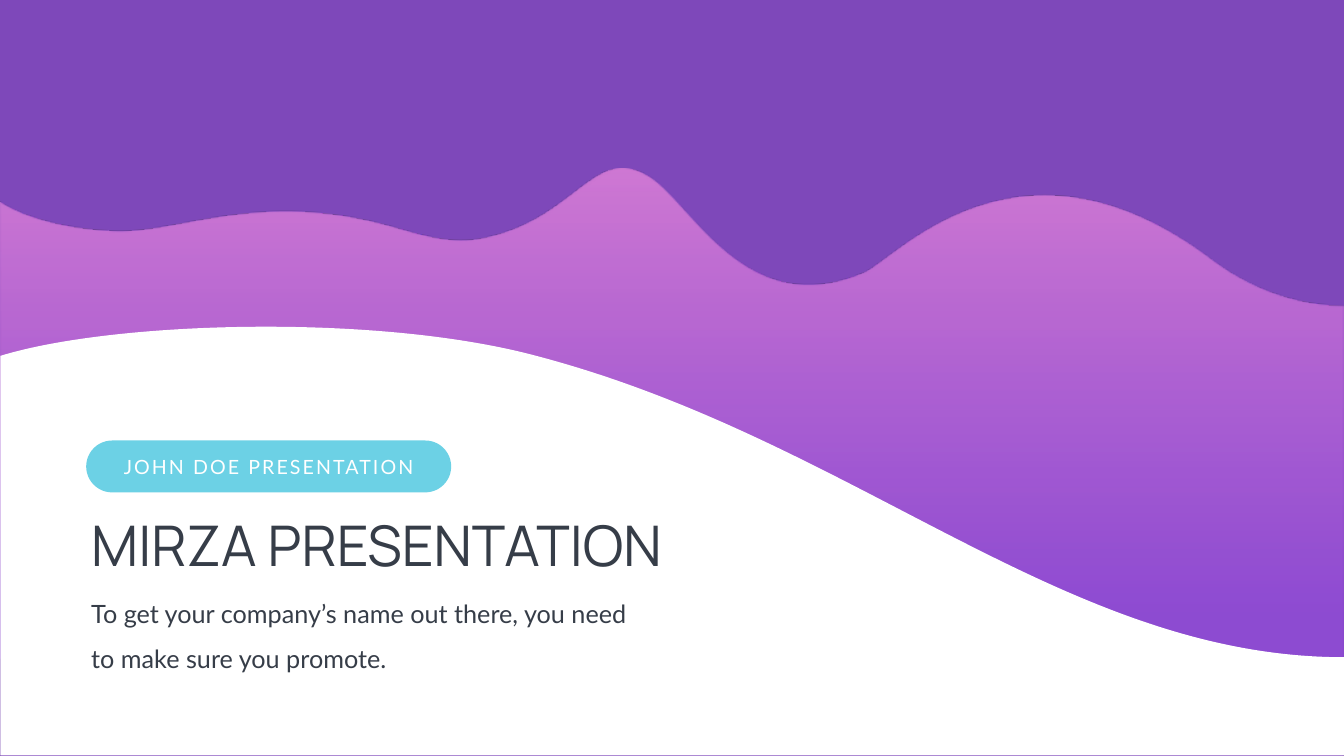
from collections import namedtuple
from lxml import etree
from pptx import Presentation, util as u
from pptx.dml.color import RGBColor
from pptx.enum import shapes, text
from pptx.oxml.ns import qn

Box = namedtuple("Box", "x y w h")
COLS, ROWS = 26.66, 15
CELL = u.Inches(1)
PAGE = Box(0, 0, COLS, ROWS)
EDGE = 0.01

THEME = {
    "ink": "363D48", "plum": "914BD7", "pink": "E184D6",
    "pill": "6CD1E5", "white": "FFFFFF",
    "head": {"name": "Manrope", "size": u.Pt(80)},
    "tag": {"name": "Lato", "size": u.Pt(28)},
    "body": {"name": "Lato", "size": u.Pt(36)},
}

HILLS = [
    (EDGE, 4.02),
    (EDGE, 4.02), (0.67, 4.52), (2.24, 4.6),
    (3.55, 4.67), (5.12, 3.75), (7.81, 4.52),
    (8.39, 4.69), (8.99, 4.87), (9.59, 4.74),
    (11.44, 4.37), (11.79, 2.86), (12.86, 3.51),
    (13.73, 4.02), (14.77, 6.43), (17.15, 5.42),
    (17.77, 5.16), (20.22, 2.27), (24.06, 5.18),
    (24.48, 5.49), (25.39, 6.07), (COLS, 6.08),
]
SLOPE = [
    (EDGE, 7.06),
    (2.22, 6.38), (7.32, 6.22), (10.48, 7.02),
    (16.92, 8.66), (21.06, 13.04), (COLS, 13.04),
]


def rgb(key):
    return RGBColor.from_string(THEME[key])


def cells(box):
    return [round(v * CELL) for v in box]


def style(obj, vals):
    for key, val in vals.items():
        setattr(obj, key, val)


def place(shape, box):
    style(shape, dict(zip(("left", "top", "width", "height"), cells(box))))


def fade(node, share):
    for clr in node.iter(qn("a:srgbClr")):
        etree.SubElement(clr, qn("a:alpha"), val=str(share * 1000))


def plain(shape, key=None):
    shape.shadow.inherit = False
    shape.line.fill.background()
    if key:
        shape.fill.solid()
        shape.fill.fore_color.rgb = rgb(key)


def bend(path, count):
    lines = path.findall(qn("a:lnTo"))[:count]
    for i in range(0, count, 3):
        arc = etree.Element(qn("a:cubicBezTo"))
        lines[i].addprevious(arc)
        for line in lines[i:i + 3]:
            arc.append(line[0])
            path.remove(line)


def wave(slide, box, crest):
    foot = ROWS - EDGE
    spots = [cells(p) for p in crest + [(COLS, foot), (EDGE, foot)]]
    pen = slide.shapes.build_freeform(*spots[0], scale=1.0)
    pen.add_line_segments(spots[1:], close=True)
    shape = pen.convert_to_shape()
    place(shape, box)
    left, top, wide, high = cells(box)
    path = next(shape.element.iter(qn("a:path")))
    style_path = {"w": wide, "h": high}
    for key, val in style_path.items():
        path.set(key, str(val))
    for node, (x, y) in zip(path.iter(qn("a:pt")), spots):
        node.set("x", str(x - left))
        node.set("y", str(y - top))
    bend(path, len(crest) - 1)
    return shape


def below(box, top):
    return box._replace(y=box.y + top, h=box.h - top)


def scene(slide, box):
    fill = slide.background.fill
    fill.solid()
    fill.fore_color.rgb = rgb("ink")
    sky = slide.shapes.add_shape(
        shapes.MSO_SHAPE.RECTANGLE, *cells(box._replace(h=13.07)))
    plain(sky, "plum")
    fade(sky.fill._xPr, 80)

    hills = wave(slide, below(box, 2.27), HILLS)
    plain(hills)
    hills.fill.gradient()
    hills.fill.gradient_angle = 270
    looks = [("pink", 0, 90), ("plum", 0.78, 80)]
    nodes = hills.fill._xPr.iter(qn("a:gs"))
    for stop, node, (key, pos, share) in zip(
            hills.fill.gradient_stops, nodes, looks):
        stop.color.rgb = rgb(key)
        stop.position = pos
        fade(node, share)

    plain(wave(slide, below(box, 6.22), SLOPE), "white")


def write(shape, words, kind, ink, frame, para):
    shape.text_frame.text = words
    style(shape.text_frame, frame)
    line = shape.text_frame.paragraphs[0]
    style(line, para)
    style(line.runs[0].font, THEME[kind])
    line.runs[0].font.color.rgb = rgb(ink)
    return line.runs[0]


def intro(slide, box):
    pill = slide.shapes.add_shape(
        shapes.MSO_SHAPE.ROUNDED_RECTANGLE,
        *cells(Box(box.x, box.y, 7.24, 1.03)))
    pill.adjustments[0] = 0.5
    plain(pill, "pill")
    tag = slide.shapes.add_textbox(
        *cells(Box(box.x + 0.56, box.y + 0.23, 6.12, 0.57)))
    run = write(tag, "JOHN DOE PRESENTATION", "tag", "white",
                {"word_wrap": False, "vertical_anchor": text.MSO_ANCHOR.TOP,
                 "auto_size": text.MSO_AUTO_SIZE.SHAPE_TO_FIT_TEXT},
                {"alignment": text.PP_ALIGN.CENTER})
    run.font._element.set("spc", "300")

    frame = {"word_wrap": True, "vertical_anchor": text.MSO_ANCHOR.TOP,
             "auto_size": text.MSO_AUTO_SIZE.SHAPE_TO_FIT_TEXT}
    para = {"alignment": text.PP_ALIGN.LEFT, "space_before": u.Pt(0)}
    parts = [
        (slide.shapes.title, "MIRZA PRESENTATION", "head",
         Box(box.x, box.y + 1.34, box.w, 1.45), 1.0),
        (slide.placeholders[1],
         "To get your company’s name out there, you need to make sure you promote.",
         "body", Box(box.x, box.y + 2.78, 11.09, 1.8), 1.5),
    ]
    for shape, words, kind, spot, gap in parts:
        place(shape, spot)
        write(shape, words, kind, "ink", frame, {**para, "line_spacing": gap})
        shape.element.getparent().append(shape.element)


def main():
    deck = Presentation()
    deck.slide_width, deck.slide_height = cells(PAGE)[2:]
    slide = deck.slides.add_slide(deck.slide_layouts[0])
    scene(slide, PAGE)
    intro(slide, Box(1.71, 8.74, 13.56, 4.58))
    deck.save("out.pptx")


if __name__ == "__main__":
    main()
